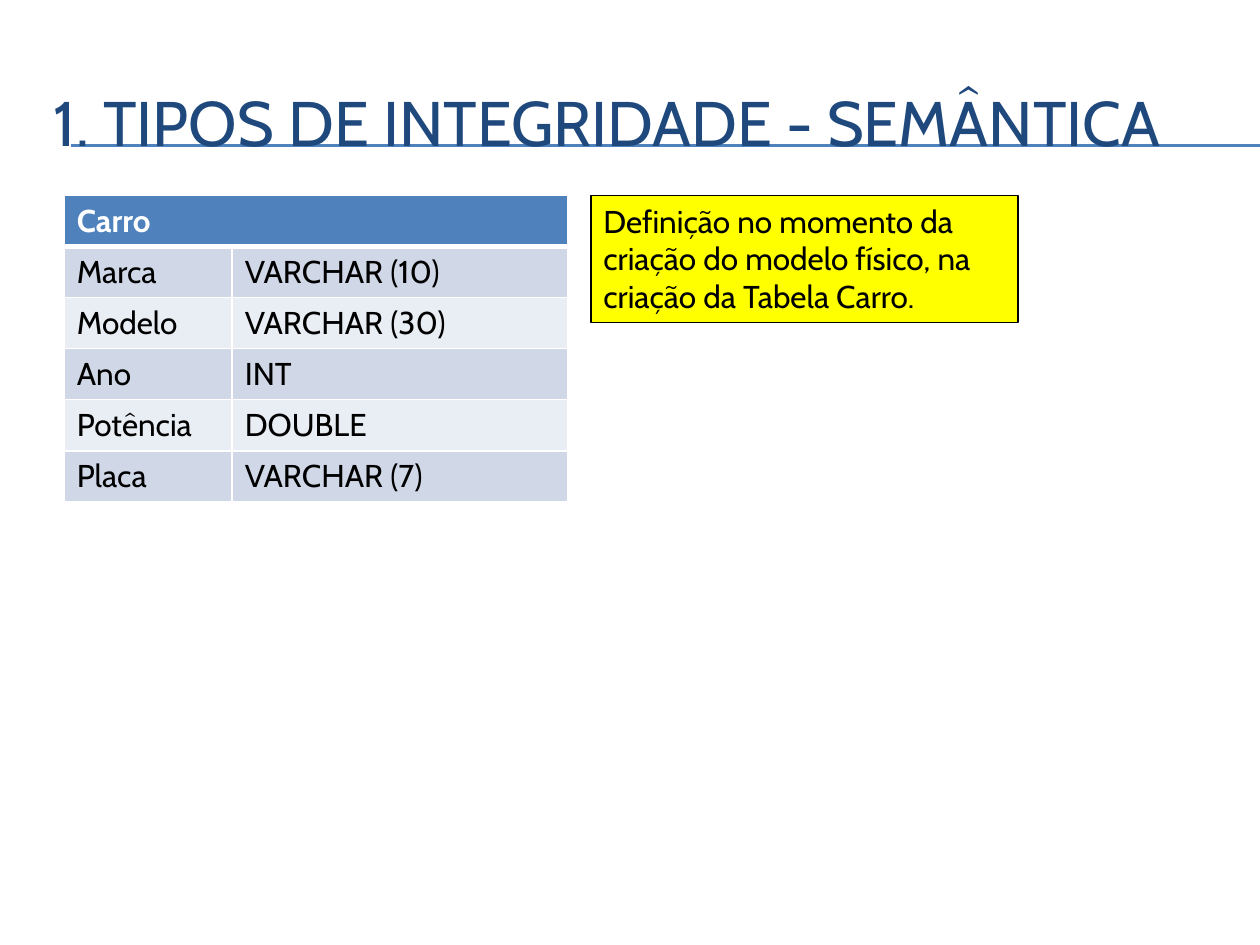
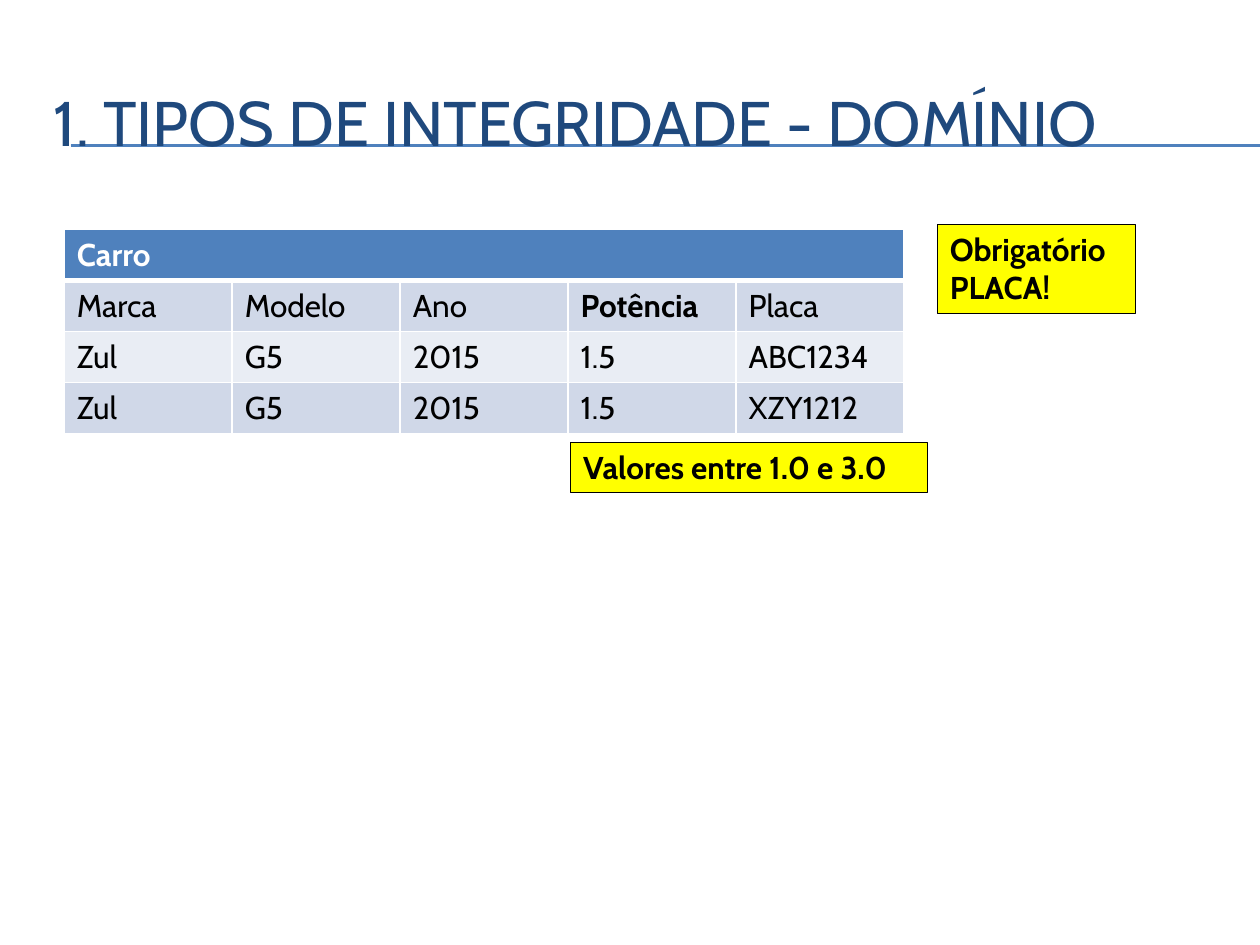
from lxml import etree
from pptx import Presentation, util as u
from pptx.dml.color import RGBColor
from pptx.enum import shapes, text
from pptx.oxml.ns import qn

# Shared look
NAVY = RGBColor(0x1F, 0x49, 0x7D)
BLUE = RGBColor(0x4F, 0x81, 0xBD)
BANDS = RGBColor(0xD0, 0xD8, 0xE8), RGBColor(0xE9, 0xED, 0xF4)
YELLOW = RGBColor(0xFF, 0xFF, 0x00)
WHITE = RGBColor(0xFF, 0xFF, 0xFF)
BLACK = RGBColor(0, 0, 0)
FONT = "Cabin"
BODY = 18

# Grid: tables start at LEFT and are built from columns and rows
W, H = u.Inches(10), u.Inches(7.5)
LEFT = u.Inches(0.51)
COL = u.Inches(4 / 3)
ROW = u.Pt(29.2)


def write(tf, lines, size=BODY, color=BLACK, bold=False):
    """Fill a text frame, one paragraph a line."""
    tf.word_wrap = True
    for i, line in enumerate(lines):
        p = tf.add_paragraph() if i else tf.paragraphs[0]
        p.alignment = text.PP_ALIGN.LEFT
        r = p.add_run()
        r.text = line
        fmt = {"name": FONT, "size": u.Pt(size), "bold": bold}
        for key, value in fmt.items():
            setattr(r.font, key, value)
        r.font.color.rgb = color


def add_rule(s, y):
    """Thin line from under the title to the right edge."""
    ln = s.shapes.add_connector(shapes.MSO_CONNECTOR.STRAIGHT,
                                int(W * 0.056), y, W, y)
    ln.line.color.rgb = BLUE
    ln.line.width = u.Pt(0.75)
    etree.SubElement(ln._element.spPr, qn("a:effectLst"))


def add_titled_slide(prs, topic):
    s = prs.slides.add_slide(prs.slide_layouts[6])
    for y in (1.15, 1.16):
        add_rule(s, u.Inches(y))
    sp = s.shapes.add_textbox(int(W * 0.033), u.Inches(0.5),
                              int(W * 0.95), u.Inches(0.92))
    sp.text_frame.vertical_anchor = text.MSO_ANCHOR.MIDDLE
    write(sp.text_frame, [f"1. TIPOS DE INTEGRIDADE - {topic}"], 36, NAVY)
    return s


def set_borders(cell, **widths):
    """White cell borders, in points; lines come before the fill."""
    tc_pr = cell._tc.get_or_add_tcPr()
    for i, side in enumerate("LRTB"):
        ln = etree.Element(qn(f"a:ln{side}"), w=str(u.Pt(widths.get(side, 1))))
        fill = etree.SubElement(ln, qn("a:solidFill"))
        etree.SubElement(fill, qn("a:srgbClr"), val=str(WHITE))
        tc_pr.insert(i, ln)


def add_entity_table(s, top, name, rows, spans, bold=()):
    """Banded table under a merged header; spans are widths in columns."""
    n = len(rows) + 1
    tbl = s.shapes.add_table(n, len(spans), LEFT, top,
                             COL * sum(spans), ROW * n).table
    for col, span in zip(tbl.columns, spans):
        col.width = COL * span
    for i, row in enumerate(tbl.rows):
        row.height = ROW
        for j, cell in enumerate(row.cells):
            cell.fill.solid()
            cell.fill.fore_color.rgb = BANDS[(i - 1) % 2] if i else BLUE
            set_borders(cell, **({1: {"T": 3}, 0: {"B": 3}}.get(i, {})))
            if i:
                value = rows[i - 1][j]
                write(cell.text_frame, [value], bold=value in bold)
    header = tbl.cell(0, 0)
    header.merge(tbl.cell(0, len(spans) - 1))
    write(header.text_frame, [name], color=WHITE, bold=True)


def add_note(s, left, top, width, height, lines, bold=False):
    """Yellow note with a thin black outline."""
    sp = s.shapes.add_shape(shapes.MSO_SHAPE.RECTANGLE,
                            *map(u.Inches, (left, top, width, height)))
    sp.shadow.inherit = False
    sp.fill.solid()
    sp.fill.fore_color.rgb = YELLOW
    sp.line.color.rgb = BLACK
    sp.line.width = u.Pt(0.75)
    sp.text_frame.vertical_anchor = text.MSO_ANCHOR.TOP
    write(sp.text_frame, lines, bold=bold)


def main():
    prs = Presentation()
    prs.slide_width, prs.slide_height = W, H

    # Semantic integrity: column types
    s = add_titled_slide(prs, "SEMÂNTICA")
    types = [("Marca", "VARCHAR (10)"), ("Modelo", "VARCHAR (30)"),
             ("Ano", "INT"), ("Potência", "DOUBLE"), ("Placa", "VARCHAR (7)")]
    add_entity_table(s, u.Inches(1.55), "Carro", types, (1, 2))
    add_note(s, 4.69, 1.55, 3.39, 1.01,
             ["Definição no momento da criação do modelo físico, "
              "na criação da Tabela Carro."])

    # Domain integrity: allowed values
    s = add_titled_slide(prs, "DOMÍNIO")
    car = ("Zul", "G5", "2015", "1.5")
    records = [[field for field, _ in types],
               (*car, "ABC1234"), (*car, "XZY1212")]
    add_entity_table(s, u.Inches(1.82), "Carro", records, (1,) * 5,
                     bold=("Potência",))
    add_note(s, 4.53, 3.51, 2.83, 0.4, ["Valores entre 1.0 e 3.0"], bold=True)
    add_note(s, 7.44, 1.78, 1.57, 0.71, ["Obrigatório", "PLACA!"], bold=True)

    prs.save("out.pptx")


if __name__ == "__main__":
    main()
